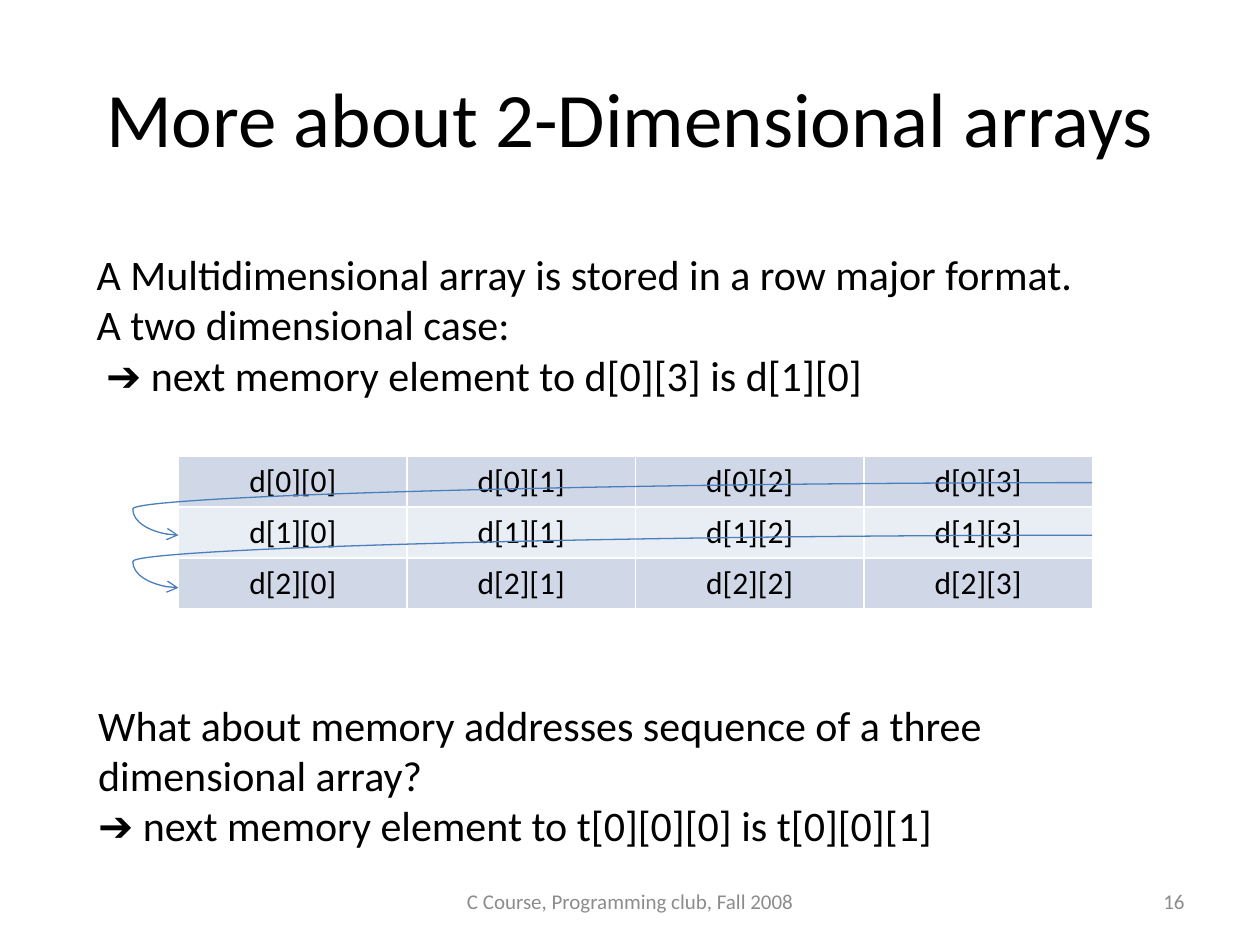
from lxml.etree import SubElement
from pptx import Presentation
from pptx.dml.color import RGBColor
from pptx.enum.shapes import MSO_CONNECTOR as Connector
from pptx.enum.text import MSO_ANCHOR as Anchor, PP_ALIGN as Align
from pptx.oxml.ns import qn
from pptx.util import Cm, Pt

COLORS = {"text": "000000", "footer": "8C8C8C", "arrow": "4B7EBC",
          "border": "FFFFFF", "odd": "D0D8E8", "even": "E9EDF4"}
FONT = "Calibri"

TITLE = "More about 2-Dimensional arrays"
ROWS, COLUMNS = 3, 4
CELLS = [[f"d[{row}][{column}]" for column in range(COLUMNS)] for row in range(ROWS)]

# left, top, width, height in centimetres
TITLE_AREA = (1.27, 0.76, 22.86, 3.18)
TABLE_AREA = (3.6, 9.19, 18.42, 3.09)
ARROW_TOP, ARROW_STEP, ARROW_BEND = 9.73, 1.06, 1.05

BODY = {"size": 24, "color": "text", "align": Align.LEFT, "anchor": Anchor.TOP}
FOOTER = {"size": 12, "color": "footer", "align": Align.CENTER, "anchor": Anchor.MIDDLE}
TEXTS = [
    ((1.7, 4.88, 21.59, 3.33), BODY,
     ["A Multidimensional array is stored in a row major format.",
      "A two dimensional case:",
      " ➔ next memory element to d[0][3] is d[1][0]"]),
    ((1.73, 13.97, 21.36, 3.33), BODY,
     ["What about memory addresses sequence of a three dimensional array?",
      "➔ next memory element to t[0][0][0] is t[0][0][1]"]),
    ((8.68, 17.65, 8.05, 1.02), FOOTER, ["C Course, Programming club, Fall 2008"]),
    ((18.21, 17.65, 5.92, 1.02), FOOTER | {"align": Align.RIGHT}, ["16"]),
]


def rgb(name):
    return RGBColor.from_string(COLORS[name])


def write(frame, lines, size, color, align, anchor):
    frame.word_wrap = True
    frame.vertical_anchor = anchor
    for index, line in enumerate(lines):
        para = frame.add_paragraph() if index else frame.paragraphs[0]
        para.alignment = align
        span = para.add_run()
        span.text = line
        for name, value in {"name": FONT, "size": Pt(size)}.items():
            setattr(span.font, name, value)
        span.font.color.rgb = rgb(color)


def add_title(page):
    title = page.shapes.title
    for name, value in zip(("left", "top", "width", "height"), TITLE_AREA):
        setattr(title, name, Cm(value))
    write(title.text_frame, [TITLE], 44, "text", Align.CENTER, Anchor.MIDDLE)


def add_borders(cell):
    properties = cell._tc.get_or_add_tcPr()
    for side in ("a:lnL", "a:lnR", "a:lnT", "a:lnB"):
        line = SubElement(properties, qn(side), w=str(Pt(1)))
        fill = SubElement(line, qn("a:solidFill"))
        SubElement(fill, qn("a:srgbClr"), val=COLORS["border"])


def add_array_table(page):
    table = page.shapes.add_table(ROWS, COLUMNS, *map(Cm, TABLE_AREA)).table
    table.first_row = False
    for row, labels in enumerate(CELLS):
        for column, label in enumerate(labels):
            cell = table.cell(row, column)
            add_borders(cell)
            cell.fill.solid()
            cell.fill.fore_color.rgb = rgb("even" if row % 2 else "odd")
            write(cell.text_frame, [label], 18, "text", Align.CENTER, Anchor.TOP)


def add_row_arrow(page, row):
    """Lead from the end of one table row round to the start of the next."""
    left, _, width, _ = TABLE_AREA
    top = ARROW_TOP + row * ARROW_STEP
    arrow = page.shapes.add_connector(
        Connector.CURVE, Cm(left + width), Cm(top), Cm(left), Cm(top + ARROW_STEP))
    arrow.line.color.rgb = rgb("arrow")
    arrow.line.width = Pt(0.75)
    SubElement(arrow.line._get_or_add_ln(), qn("a:tailEnd"), type="arrow")
    properties = arrow._element.spPr
    SubElement(properties, qn("a:effectLst"))
    guides = properties.find(qn("a:prstGeom")).find(qn("a:avLst"))
    SubElement(guides, qn("a:gd"), name="adj1", fmla=f"val {round(ARROW_BEND * 100000)}")


def main():
    deck = Presentation()
    deck.slide_width, deck.slide_height = Cm(25.4), Cm(19.05)
    page = deck.slides.add_slide(deck.slide_layouts[5])
    add_title(page)
    add_array_table(page)
    for row in range(ROWS - 1):
        add_row_arrow(page, row)
    for area, style, lines in TEXTS:
        box = page.shapes.add_textbox(*map(Cm, area))
        write(box.text_frame, lines, **style)
    deck.save("out.pptx")


if __name__ == "__main__":
    main()
